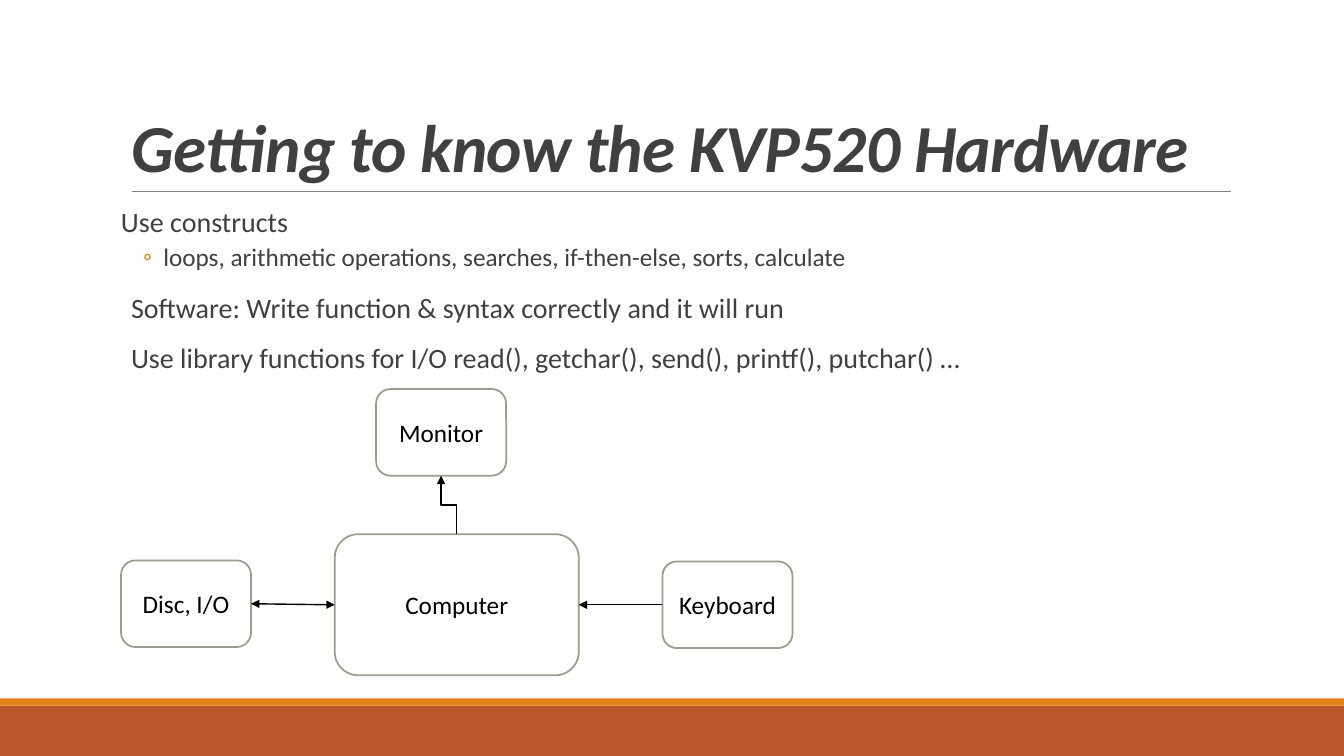
from lxml import etree
from pptx import Presentation
from pptx.dml.color import RGBColor
from pptx.enum.shapes import MSO_CONNECTOR, MSO_SHAPE
from pptx.enum.text import MSO_ANCHOR, PP_ALIGN
from pptx.oxml.ns import qn
from pptx.util import Inches, Pt

RECTANGLE, ROUNDED = MSO_SHAPE.RECTANGLE, MSO_SHAPE.ROUNDED_RECTANGLE
STRAIGHT, ELBOW = MSO_CONNECTOR.STRAIGHT, MSO_CONNECTOR.ELBOW
BOTTOM, MIDDLE = MSO_ANCHOR.BOTTOM, MSO_ANCHOR.MIDDLE
LEFT, CENTER = PP_ALIGN.LEFT, PP_ALIGN.CENTER
TOP_SITE, LEFT_SITE, BOTTOM_SITE, RIGHT_SITE = range(4)
FONT = "Calibri"
COLORS = {"rust": "BD582C", "orange": "E48312", "rule": "808080", "text": "404040",
          "outline": "94A088", "white": "FFFFFF", "black": "000000"}


def style_paragraph(para, size, color, align):
    """Set the font and alignment of a paragraph."""
    para.alignment = align
    para.font.name = FONT
    para.font.size = Pt(size)
    para.font.color.rgb = RGBColor.from_string(COLORS[color])


def add_line(kind, color, width, points=(0, 0, 0, 0)):
    """Add a connector without shadow between two points in inches."""
    line = slide.shapes.add_connector(kind, *map(Inches, points))
    line.line.color.rgb = RGBColor.from_string(COLORS[color])
    line.line.width = Pt(width)
    etree.SubElement(line._element.spPr, qn("a:effectLst"))
    return line


deck = Presentation()
deck.slide_width, deck.slide_height = Inches(13.33), Inches(7.5)
slide = deck.slides.add_slide(deck.slide_layouts[5])

# Footer bands and title rule
for color, top, height in (("rust", 7, 0.5), ("orange", 6.93, 0.07)):
    band = slide.shapes.add_shape(RECTANGLE, 0, Inches(top), deck.slide_width, Inches(height))
    band.shadow.inherit = False
    band.fill.solid()
    band.fill.fore_color.rgb = RGBColor.from_string(COLORS[color])
    band.line.fill.background()
add_line(STRAIGHT, "rule", 0.5, (1.31, 1.9, 12.21, 1.9))

# Title
title = slide.shapes.title
title.left, title.top, title.width, title.height = map(Inches, (1.2, 0.31, 11, 1.59))
title.text_frame.text = "Getting to know the KVP520 Hardware"
title.text_frame.vertical_anchor = BOTTOM
para = title.text_frame.paragraphs[0]
style_paragraph(para, 48, "text", LEFT)
para.font.bold = para.font.italic = True
para.line_spacing = 0.85
para.runs[0].font._element.set("spc", "-50")

# Body: text, size, left margin, first-line indent, space before, space after, bullet
BODY = [
    ("Use constructs", 20, 0, 0, 12, 2, None),
    ("loops, arithmetic operations, searches, if-then-else, sorts, calculate",
     18, 0.42, -0.2, 2, 4, "◦"),
    ("Software: Write function & syntax correctly and it will run", 20, 0.1, 0, 12, 2, None),
    ("Use library functions for I/O read(), getchar(), send(), printf(), putchar() …",
     20, 0.1, 0, 12, 2, None),
]
body = slide.shapes.add_textbox(*map(Inches, (1.2, 2.02, 11, 4.4)))
frame = body.text_frame
frame.word_wrap = True
frame.margin_left = frame.margin_right = 0
for index, (text, size, margin, indent, before, after, bullet) in enumerate(BODY):
    para = frame.add_paragraph() if index else frame.paragraphs[0]
    para.text = text
    style_paragraph(para, size, "text", LEFT)
    para.line_spacing = 0.9
    para.space_before, para.space_after = Pt(before), Pt(after)
    properties = para._p.get_or_add_pPr()
    properties.set("marL", str(Inches(margin)))
    properties.set("indent", str(Inches(indent)))
    if bullet:
        bullet_color = etree.Element(qn("a:buClr"))
        etree.SubElement(bullet_color, qn("a:srgbClr"), val=COLORS["orange"])
        bullet_font = etree.Element(qn("a:buFont"), typeface=FONT)
        bullet_char = etree.Element(qn("a:buChar"), char=bullet)
        default_run = properties.find(qn("a:defRPr"))
        for element in (bullet_color, bullet_font, bullet_char):
            default_run.addprevious(element)

# Computer and its devices
DEVICE_SIZE = (1.29, 0.86)
BOXES = [
    ("Computer", 3.32, 5.3, (2.42, 1.4)),
    ("Keyboard", 6.57, 5.57, DEVICE_SIZE),
    ("Monitor", 3.73, 3.86, DEVICE_SIZE),
    ("Disc, I/O", 1.2, 5.56, DEVICE_SIZE),
]
boxes = {}
for name, left, top, size in BOXES:
    box = slide.shapes.add_shape(ROUNDED, *map(Inches, (left, top, *size)))
    box.shadow.inherit = False
    box.fill.solid()
    box.fill.fore_color.rgb = RGBColor.from_string(COLORS["white"])
    box.line.color.rgb = RGBColor.from_string(COLORS["outline"])
    box.line.width = Pt(1.25)
    box.text_frame.text = name
    box.text_frame.vertical_anchor = MIDDLE
    style_paragraph(box.text_frame.paragraphs[0], 18, "black", CENTER)
    boxes[name] = box

# Arrows glued to the boxes
ARROWS = [
    (ELBOW, "Computer", TOP_SITE, "Monitor", BOTTOM_SITE, ["tailEnd"]),
    (STRAIGHT, "Keyboard", LEFT_SITE, "Computer", RIGHT_SITE, ["tailEnd"]),
    (STRAIGHT, "Computer", LEFT_SITE, "Disc, I/O", RIGHT_SITE, ["headEnd", "tailEnd"]),
]
for kind, start, start_site, end, end_site, arrowheads in ARROWS:
    arrow = add_line(kind, "black", 1)
    arrow.begin_connect(boxes[start], start_site)
    arrow.end_connect(boxes[end], end_site)
    for arrowhead in arrowheads:
        etree.SubElement(arrow.line._get_or_add_ln(), qn("a:" + arrowhead), type="triangle")
    if kind == ELBOW:
        # A quarter turn about the centre makes the elbow leave vertically
        width, height = arrow.width, arrow.height
        arrow.left += (width - height) // 2
        arrow.top += (height - width) // 2
        arrow.width, arrow.height = height, width
        transform = arrow._element.spPr.find(qn("a:xfrm"))
        for key, value in (("rot", "16200000"), ("flipH", "0"), ("flipV", "1")):
            transform.set(key, value)

deck.save("out.pptx")
